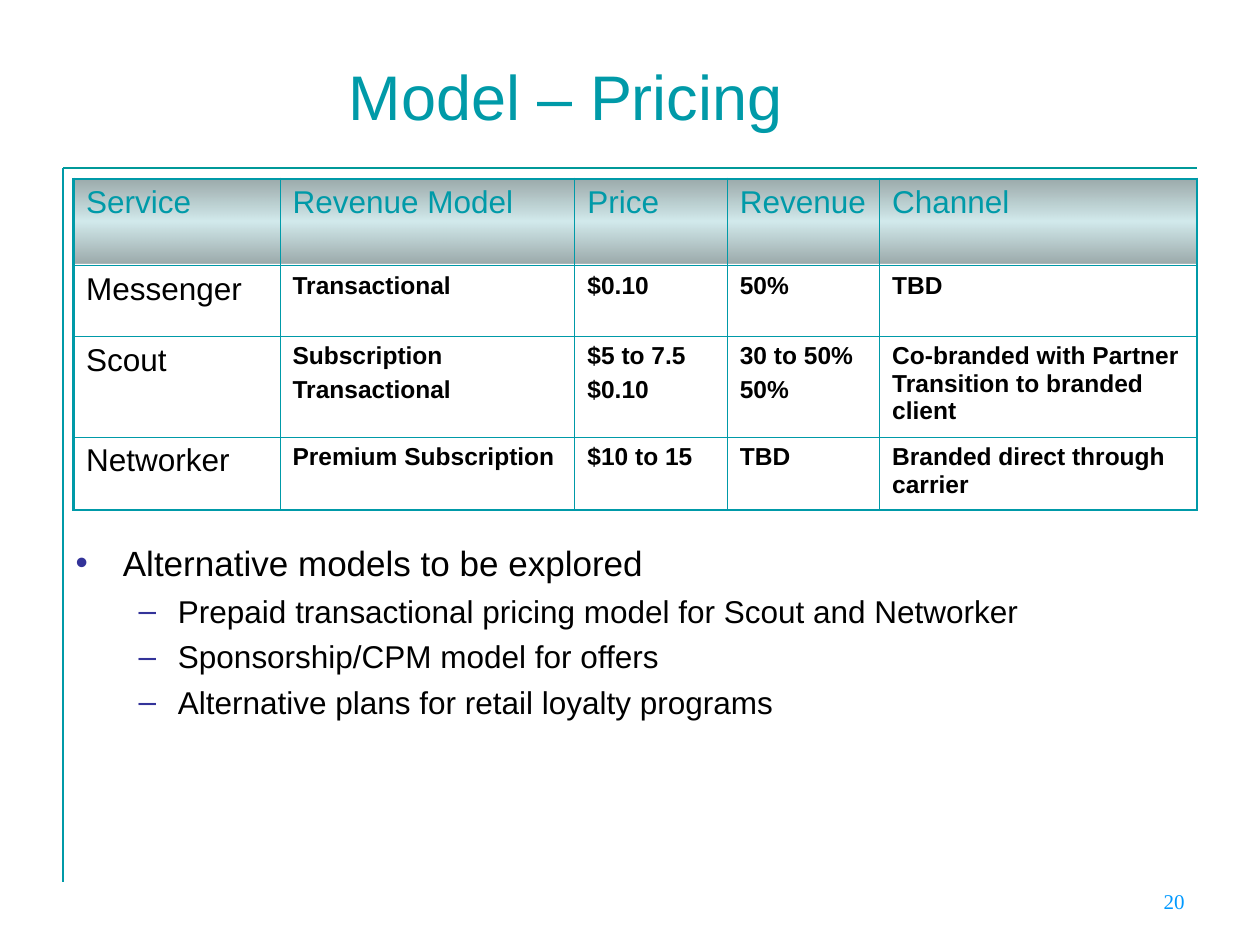
from pptx import Presentation
from pptx.dml.color import RGBColor
from pptx.enum import shapes, text
from pptx.oxml import parse_xml
from pptx.oxml.ns import nsdecls
from pptx.util import Pt

TEAL = "009AA8"
BLACK = "000000"
LEFT, TOP, WIDTH = 42, 102.2, 642
COLS = [118, 168.5, 87.1, 87.1, 181.3]
ROWS = [49.7, 40.3, 57.6, 41.8]
CELLS = [
    ["Service", "Revenue Model", "Price", "Revenue", "Channel"],
    ["Messenger", "Transactional", "$0.10", "50%", "TBD"],
    ["Scout", "Subscription\nTransactional", "$5 to 7.5\n$0.10", "30 to 50%\n50%",
     "Co-branded with Partner Transition to branded client"],
    ["Networker", "Premium Subscription", "$10 to 15", "TBD",
     "Branded direct through carrier"],
]
POINTS = [
    "Prepaid transactional pricing model for Scout and Networker",
    "Sponsorship/CPM model for offers",
    "Alternative plans for retail loyalty programs",
]


def rgb(code):
    return RGBColor.from_string(code)


def xml(body):
    return parse_xml(body.replace(" ", f" {nsdecls('a')} ", 1))


def write(para, words, size=18, color=BLACK, bold=False, face="Arial",
          align=text.PP_ALIGN.LEFT, gap=0):
    para.alignment = align
    para.space_before = Pt(gap)
    run = para.add_run()
    run.text = words
    font = run.font
    font.name, font.size, font.bold = face, Pt(size), bold
    font.color.rgb = rgb(color)


def place(shape, left, top, width, height):
    shape.left, shape.top = Pt(left), Pt(top)
    shape.width, shape.height = Pt(width), Pt(height)


def rule(slide, x1, y1, x2, y2, color):
    line = slide.shapes.add_connector(
        shapes.MSO_CONNECTOR.STRAIGHT, Pt(x1), Pt(y1), Pt(x2), Pt(y2))
    line.line.color.rgb = rgb(color)
    line.line.width = Pt(0.75)
    line._element.spPr.append(xml("<a:effectLst />"))


def band(slide):
    rect = slide.shapes.add_shape(
        shapes.MSO_SHAPE.RECTANGLE, Pt(LEFT), Pt(TOP), Pt(WIDTH), Pt(48.2))
    rect.shadow.inherit = False
    rect.line.fill.background()
    stops = "".join(
        f'<a:gs pos="{pos}"><a:srgbClr val="{code}"><a:alpha val="65000"/></a:srgbClr></a:gs>'
        for pos, code in [(0, "687D7E"), (50000, "BBE0E3"), (100000, "687D7E")])
    grad = xml(f'<a:gradFill rotWithShape="1"><a:gsLst>{stops}</a:gsLst>'
               '<a:lin ang="5400000" scaled="1"/></a:gradFill>')
    rect._element.spPr.prstGeom.addnext(grad)


def edge(cell, side, width):
    cell._tc.get_or_add_tcPr().append(xml(
        f'<a:ln{side} w="{Pt(width)}"><a:solidFill><a:srgbClr val="{TEAL}"/>'
        f'</a:solidFill></a:ln{side}>'))


def grid(slide):
    frame = slide.shapes.add_table(
        len(ROWS), len(COLS), Pt(LEFT), Pt(TOP), Pt(WIDTH), Pt(sum(ROWS)))
    table = frame.table
    table.first_row = table.horz_banding = False
    for col, width in zip(table.columns, COLS):
        col.width = Pt(width)
    for row, height in zip(table.rows, ROWS):
        row.height = Pt(height)
    for r, line in enumerate(CELLS):
        for c, words in enumerate(line):
            cell = table.cell(r, c)
            outer = {"L": c == 0, "R": c == len(COLS) - 1,
                     "T": r == 0, "B": r == len(ROWS) - 1}
            for side, thick in outer.items():
                edge(cell, side, 1.47 if thick else 0.45)
            cell.fill.background()
            small = r > 0 and c > 0
            for i, part in enumerate(words.split("\n")):
                frame = cell.text_frame
                para = frame.add_paragraph() if i else frame.paragraphs[0]
                write(para, part, size=14 if small else 18, bold=small,
                      color=BLACK if r else TEAL, gap=3.5 if i else 0)


def bullet(para, mark, indent, hang):
    props = para._p.get_or_add_pPr()
    props.set("marL", str(Pt(indent)))
    props.set("indent", str(Pt(-hang)))
    props.append(xml('<a:buClr ><a:srgbClr val="333399"/></a:buClr>'))
    props.append(xml('<a:buFont typeface="Arial"/>'))
    props.append(xml(f'<a:buChar char="{mark}"/>'))


def points(body):
    place(body, 36, 306, 648, 198)
    frame = body.text_frame
    frame.auto_size = text.MSO_AUTO_SIZE.NONE
    para = frame.paragraphs[0]
    bullet(para, "•", 27, 27)
    write(para, "Alternative models to be explored", size=20)
    for words in POINTS:
        para = frame.add_paragraph()
        para.level = 1
        bullet(para, "–", 58.5, 22.5)
        write(para, words, gap=4.5)


def main():
    deck = Presentation()
    deck.slide_width, deck.slide_height = Pt(720), Pt(540)
    slide = deck.slides.add_slide(deck.slide_layouts[1])

    rule(slide, 36, 96, 684, 96, "009999")
    rule(slide, 36, 96, 36, 504, TEAL)
    band(slide)

    title = slide.shapes.title
    place(title, 192, 20, 491, 68.5)
    title.text_frame.auto_size = text.MSO_AUTO_SIZE.NONE
    title.text_frame.vertical_anchor = text.MSO_ANCHOR.MIDDLE
    write(title.text_frame.paragraphs[0], "Model – Pricing", size=36, color=TEAL)

    points(slide.placeholders[1])
    grid(slide)

    num = slide.shapes.add_textbox(Pt(516), Pt(504), Pt(168), Pt(25))
    num.text_frame.word_wrap = True
    write(num.text_frame.paragraphs[0], "20", size=12, color="0099FF",
          face="Times New Roman", align=text.PP_ALIGN.RIGHT)
    deck.save("out.pptx")


if __name__ == "__main__":
    main()
